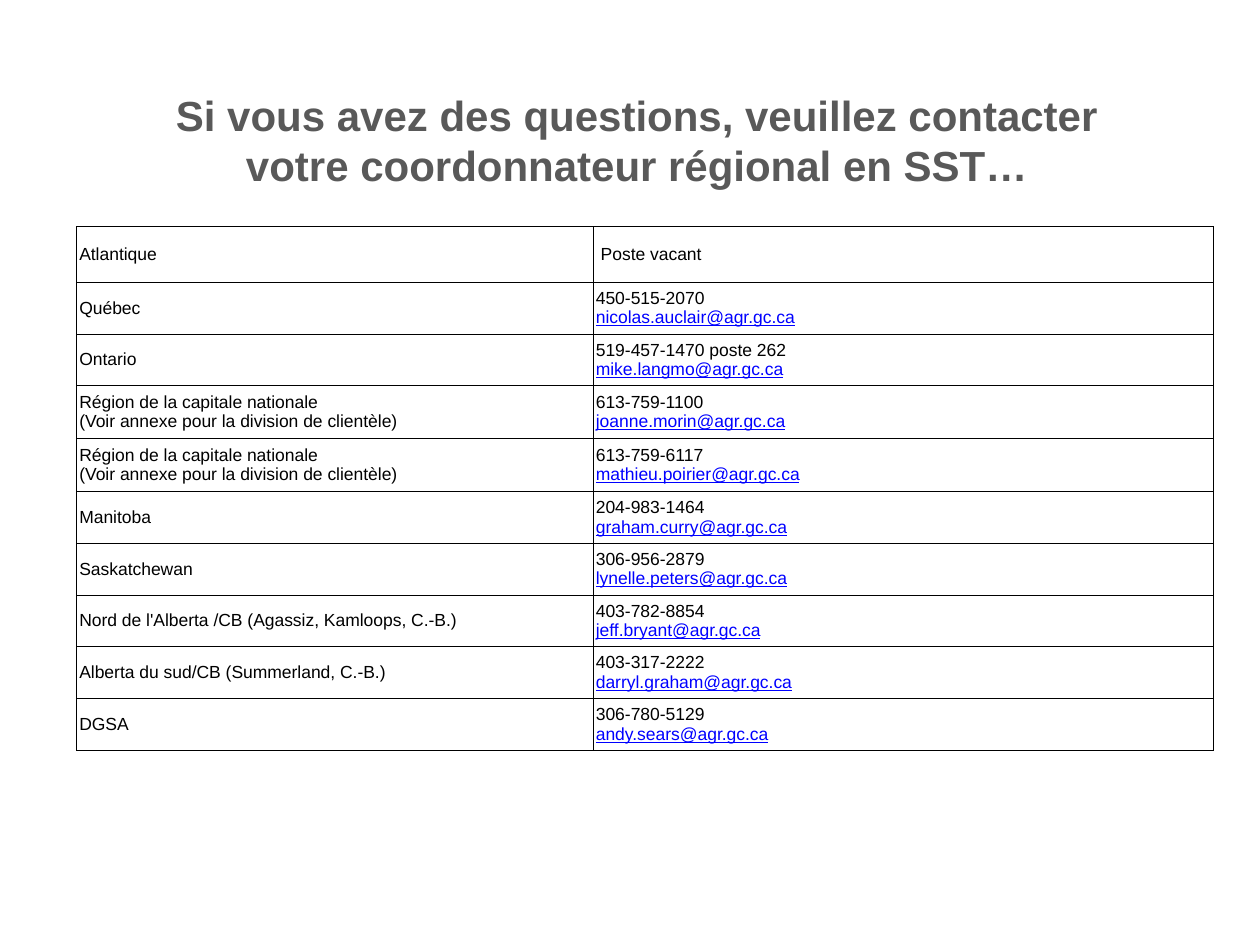
from lxml.etree import SubElement
from pptx import Presentation
from pptx.dml.color import RGBColor
from pptx.enum.text import MSO_ANCHOR, MSO_AUTO_SIZE, PP_ALIGN
from pptx.oxml.ns import qn
from pptx.util import Inches, Pt

BLACK = RGBColor(0, 0, 0)
BLUE = RGBColor(0, 0, 255)
GREY = RGBColor(0x59, 0x59, 0x59)
WHITE = RGBColor(255, 255, 255)

TITLE = ("Si vous avez des questions, veuillez contacter "
         "votre coordonnateur régional en SST…")
CAPITAL = ("Région de la capitale nationale",
           "(Voir annexe pour la division de clientèle)")
# Region lines, phone or status, e-mail
ROWS = [
    (("Atlantique",), " Poste vacant", None),
    (("Québec",), "450-515-2070", "nicolas.auclair@agr.gc.ca"),
    (("Ontario",), "519-457-1470 poste 262", "mike.langmo@agr.gc.ca"),
    (CAPITAL, "613-759-1100", "joanne.morin@agr.gc.ca"),
    (CAPITAL, "613-759-6117", "mathieu.poirier@agr.gc.ca"),
    (("Manitoba",), "204-983-1464", "graham.curry@agr.gc.ca"),
    (("Saskatchewan",), "306-956-2879", "lynelle.peters@agr.gc.ca"),
    (("Nord de l'Alberta /CB (Agassiz, Kamloops, C.-B.)",),
     "403-782-8854", "jeff.bryant@agr.gc.ca"),
    (("Alberta du sud/CB (Summerland, C.-B.)",),
     "403-317-2222", "darryl.graham@agr.gc.ca"),
    (("DGSA",), "306-780-5129", "andy.sears@agr.gc.ca"),
]
WIDTHS = (4.1, 4.92)
FIRST, SINGLE, DOUBLE = 0.44, 0.37, 0.42


def write(para, text, size=10, color=BLACK, bold=False, under=False):
    run = para.add_run()
    run.text = text
    font = run.font
    font.name, font.size, font.bold = "Arial", Pt(size), bold
    font.underline = under
    font.color.rgb = color


def frame_cell(cell):
    """Give a cell thin black borders, a white fill and tight margins."""
    props = cell._tc.get_or_add_tcPr()
    for side in ("lnL", "lnR", "lnT", "lnB"):
        line = SubElement(props, qn("a:" + side), w=str(Pt(0.45)))
        fill = SubElement(line, qn("a:solidFill"))
        SubElement(fill, qn("a:srgbClr"), val=str(BLACK))
    cell.fill.solid()
    cell.fill.fore_color.rgb = WHITE
    cell.vertical_anchor = MSO_ANCHOR.MIDDLE
    cell.margin_left = cell.margin_right = Inches(0.02)
    cell.margin_top = cell.margin_bottom = Inches(0.05)


def add_title(slide):
    title = slide.shapes.title
    title.left, title.top = Inches(0.93), Inches(0.62)
    title.width, title.height = Inches(8.25), Inches(0.49)
    frame = title.text_frame
    frame.word_wrap = True
    frame.auto_size = MSO_AUTO_SIZE.NONE
    frame.vertical_anchor = MSO_ANCHOR.TOP
    frame.margin_top = Inches(0.09)
    para = frame.paragraphs[0]
    para.alignment = PP_ALIGN.CENTER
    write(para, TITLE, size=24, color=GREY, bold=True)


def add_contacts(slide):
    heights = [DOUBLE if len(row[0]) > 1 else SINGLE for row in ROWS]
    heights[0] = FIRST
    table = slide.shapes.add_table(
        len(ROWS), len(WIDTHS), Inches(0.61), Inches(1.8),
        Inches(sum(WIDTHS)), Inches(sum(heights))).table
    table.first_row = table.horz_banding = False
    for col, width in zip(table.columns, WIDTHS):
        col.width = Inches(width)
    for row, height, (region, phone, mail) in zip(table.rows, heights, ROWS):
        row.height = Inches(height)
        left, right = row.cells
        frame_cell(left)
        frame_cell(right)
        for i, text in enumerate(region):
            frame = left.text_frame
            write(frame.add_paragraph() if i else frame.paragraphs[0], text)
        para = right.text_frame.paragraphs[0]
        write(para, phone)
        if mail:
            para.add_line_break()
            write(para, mail, color=BLUE, under=True)


def main():
    deck = Presentation()
    deck.slide_width, deck.slide_height = Inches(10), Inches(7.5)
    slide = deck.slides.add_slide(deck.slide_layouts[5])
    add_contacts(slide)
    add_title(slide)
    deck.save("out.pptx")


if __name__ == "__main__":
    main()
